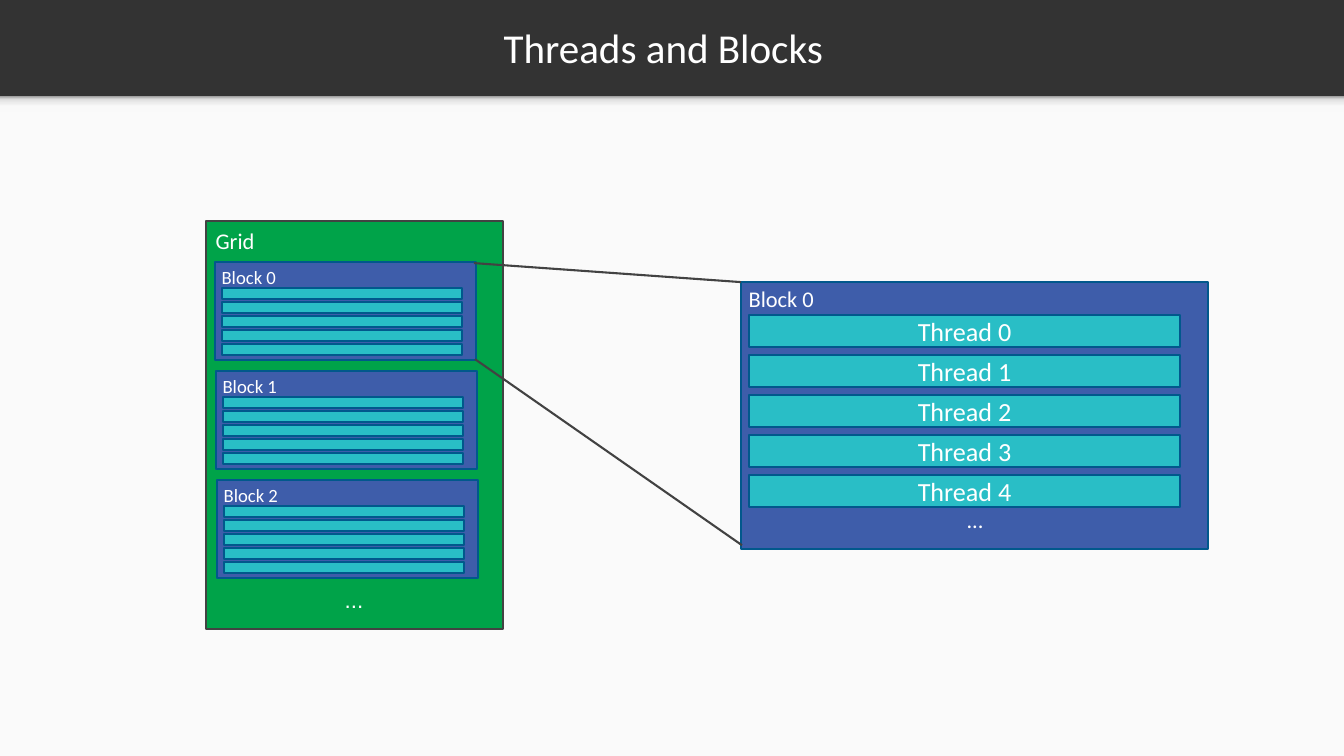
from copy import deepcopy

from pptx import Presentation
from pptx.dml.color import RGBColor
from pptx.enum.shapes import MSO_CONNECTOR, MSO_SHAPE
from pptx.enum.text import MSO_ANCHOR, PP_ALIGN
from pptx.oxml.ns import qn
from pptx.util import Emu, Inches, Pt

PX = 914400 / 67.2
SLIDE_WIDTH, SLIDE_HEIGHT = Emu(18288000), Emu(10282238)
DARK, PAPER, WHITE = "333333", "FAFAFA", "FFFFFF"
GREEN, BLUE, TEAL = "00A349", "3E5DAA", "29BEC6"
GRAY_LINE, BLUE_LINE = "424242", "01588C"


def px(value):
    return Emu(round(value * PX))


def color(hex_string):
    return RGBColor.from_string(hex_string)


def write(frame, text, size, align, font="Calibri"):
    frame.word_wrap = True
    paragraph = frame.paragraphs[0]
    paragraph.alignment = align
    run = paragraph.add_run()
    run.text = text
    run.font.name = font
    run.font.size = Pt(size)
    run.font.color.rgb = color(WHITE)


def box(slide, x, y, w, h, fill, line=None):
    shape = slide.shapes.add_shape(MSO_SHAPE.RECTANGLE, px(x), px(y), px(w), px(h))
    shape.shadow.inherit = False
    shape.fill.solid()
    shape.fill.fore_color.rgb = color(fill)
    if line:
        shape.line.color.rgb = color(line)
        shape.line.width = Pt(2)
    else:
        shape.line.fill.background()
    return shape


def label(slide, x, y, w, h, text, size, align=PP_ALIGN.LEFT, font="Calibri"):
    frame = slide.shapes.add_textbox(px(x), px(y), px(w), px(h)).text_frame
    write(frame, text, size, align, font)
    return frame


def zoom_line(slide, x1, y1, x2, y2):
    line = slide.shapes.add_connector(
        MSO_CONNECTOR.STRAIGHT, px(x1), px(y1), px(x2), px(y2))
    line.line.color.rgb = color(GRAY_LINE)
    line.line.width = Pt(2.25)
    properties = line._element.spPr
    properties.append(properties.makeelement(qn("a:effectLst"), {}))


def header(slide):
    box(slide, 0, 97, 1344, 659, PAPER)
    # Soft shade under the title band
    shade = box(slide, 0, 96, 1344, 16, PAPER)
    shade.fill.gradient()
    shade.fill.gradient_angle = 270
    stop_list = shade.fill._fill._gradFill.gsLst
    stop_list.append(deepcopy(stop_list[-1]))
    stops = [(0, "999999"), (0.2, "DEDEDE"), (0.64, "F9F9F9")]
    for stop, (position, shade_color) in zip(shade.fill.gradient_stops, stops):
        stop.position = position
        stop.color.rgb = color(shade_color)
    title = label(slide, 15, 3, 1297, 89, "Threads and Blocks", 44, PP_ALIGN.CENTER)
    title.vertical_anchor = MSO_ANCHOR.MIDDLE
    title.margin_left = title.margin_right = Inches(0.2)
    title.margin_top = title.margin_bottom = Inches(0.2)


def small_block(slide, x, y, name):
    box(slide, x, y, 261, 98, BLUE, BLUE_LINE)
    label(slide, x, y, 202, 30, name, 20)
    for row in range(5):
        box(slide, x + 7, y + 26 + 14 * row, 240, 11, TEAL, BLUE_LINE)


def grid(slide):
    box(slide, 206, 221, 297, 408, GREEN, GRAY_LINE)
    label(slide, 209, 224, 202, 34, "Grid", 24)
    for i in range(3):
        small_block(slide, 215 + i, 262 + 109 * i, f"Block {i}")
    label(slide, 253, 583, 202, 34, "...", 24, PP_ALIGN.CENTER, "Arial")


def large_block(slide):
    box(slide, 741, 282, 467, 267, BLUE, BLUE_LINE)
    label(slide, 742, 282, 202, 34, "Block 0", 24)
    for i in range(5):
        thread = box(slide, 749, 315 + 40 * i, 431, 32, TEAL, BLUE_LINE)
        thread.text_frame.vertical_anchor = MSO_ANCHOR.MIDDLE
        write(thread.text_frame, f"Thread {i}", 28, PP_ALIGN.CENTER)
    label(slide, 874, 503, 202, 34, "...", 24, PP_ALIGN.CENTER)


def main():
    deck = Presentation()
    deck.slide_width, deck.slide_height = SLIDE_WIDTH, SLIDE_HEIGHT
    slide = deck.slides.add_slide(deck.slide_layouts[6])
    slide.background.fill.solid()
    slide.background.fill.fore_color.rgb = color(DARK)
    header(slide)
    grid(slide)
    large_block(slide)
    # Lines from the small block to its enlarged view
    zoom_line(slide, 474, 263, 741, 282)
    zoom_line(slide, 475, 359, 742, 545)
    deck.save("out.pptx")


main()
